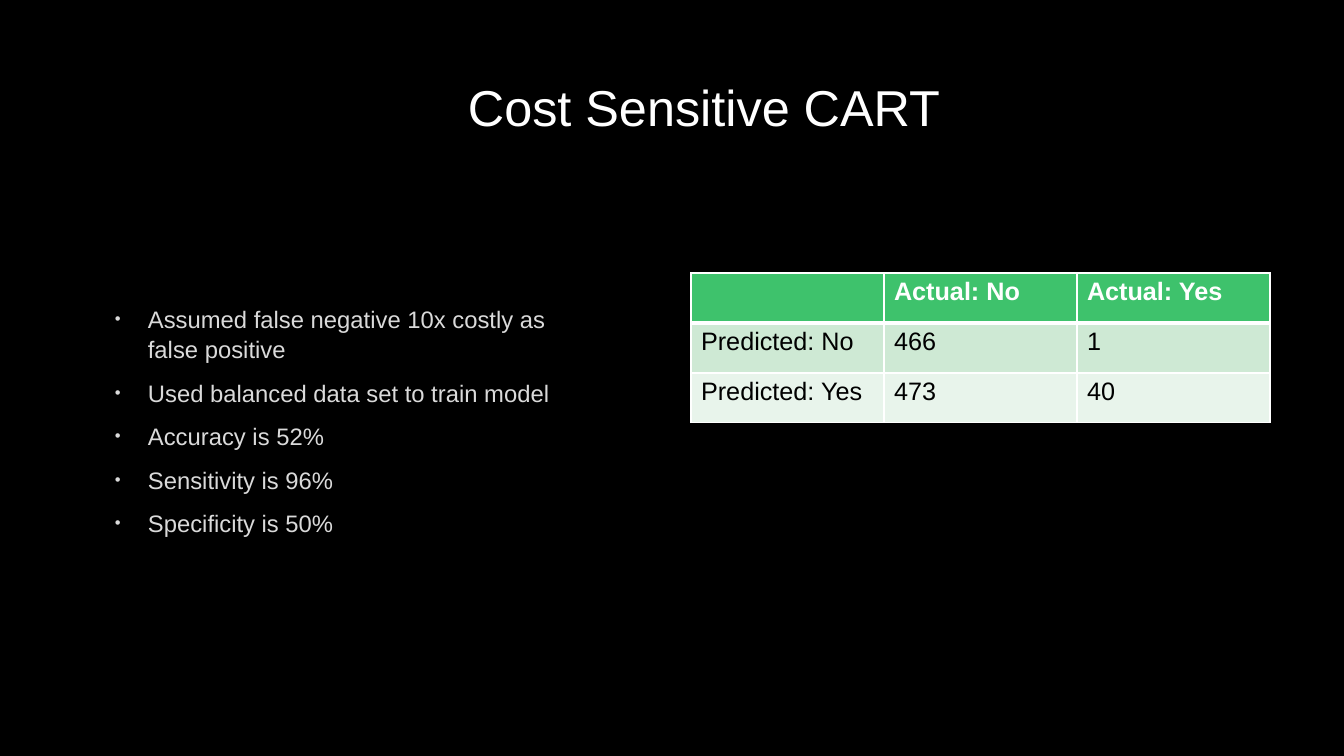
from lxml.etree import SubElement
from pptx import Presentation
from pptx.dml.color import RGBColor
from pptx.enum.text import MSO_ANCHOR, PP_ALIGN
from pptx.oxml.ns import qn
from pptx.util import Emu, Pt

COLORS = {
    "background": "000000", "title": "FFFFFF", "body": "DADADA",
    "header": "3EC26C", "band_dark": "CEE9D4", "band_light": "E8F4EB",
    "header_text": "FFFFFF", "cell_text": "000000", "border": "FFFFFF",
}


def px(length):
    return Emu(round(length * 914400 / 100.8))


def style(paragraph, size, color, bold=False):
    paragraph.font.name = "Arial"
    paragraph.font.size = Pt(size)
    paragraph.font.bold = bold
    paragraph.font.color.rgb = RGBColor.from_string(COLORS[color])


presentation = Presentation()
presentation.slide_width, presentation.slide_height = px(1344), px(756)
slide = presentation.slides.add_slide(presentation.slide_layouts[6])
slide.background.fill.solid()
slide.background.fill.fore_color.rgb = RGBColor.from_string(COLORS["background"])

# Findings
findings = [
    "Assumed false negative 10x costly as false positive",
    "Used balanced data set to train model",
    "Accuracy is 52%",
    "Sensitivity is 96%",
    "Specificity is 50%",
]
findings_frame = slide.shapes.add_textbox(px(100), px(301), px(464), px(226)).text_frame
findings_frame.word_wrap = True
findings_frame.vertical_anchor = MSO_ANCHOR.TOP
findings_frame.margin_top = px(2)
findings_frame.text = "\n".join(findings)
for finding in findings_frame.paragraphs:
    style(finding, 17, "body")
    finding.line_spacing = 1.06
    finding.space_before = Pt(3.4)
    finding.space_after = Pt(6)
    properties = finding._p.get_or_add_pPr()
    properties.set("marL", str(px(38)))
    properties.set("indent", str(-px(33)))
    bullet_color = SubElement(properties, qn("a:buClr"))
    SubElement(bullet_color, qn("a:srgbClr"), val=COLORS["body"])
    SubElement(properties, qn("a:buSzPct"), val="70000")
    SubElement(properties, qn("a:buFont"), typeface="Arial")
    SubElement(properties, qn("a:buChar"), char="•")
    # Bullet settings come before the default run properties
    properties.append(properties.find(qn("a:defRPr")))

# Title
title_frame = slide.shapes.add_textbox(px(458), px(71), px(512), px(71)).text_frame
title_frame.word_wrap = True
title = title_frame.paragraphs[0]
title.text = "Cost Sensitive CART"
title.alignment = PP_ALIGN.LEFT
style(title, 36, "title")

# Confusion matrix
confusion = [
    ["", "Actual: No", "Actual: Yes"],
    ["Predicted: No", "466", "1"],
    ["Predicted: Yes", "473", "40"],
]
row_fills = ["header", "band_dark", "band_light"]
matrix = slide.shapes.add_table(3, 3, px(691), px(273), px(579), px(150)).table
for column in matrix.columns:
    column.width = px(193)
for r, (values, row_fill) in enumerate(zip(confusion, row_fills)):
    matrix.rows[r].height = px(50)
    for c, value in enumerate(values):
        cell = matrix.cell(r, c)
        cell.text = value
        style(cell.text_frame.paragraphs[0], 18,
              "cell_text" if r else "header_text", bold=r == 0)
        for side in "LRTB":
            under_header = (r, side) in [(0, "B"), (1, "T")]
            border = SubElement(cell._tc.get_or_add_tcPr(), qn(f"a:ln{side}"),
                                w=str(Pt(3 if under_header else 1)))
            border_fill = SubElement(border, qn("a:solidFill"))
            SubElement(border_fill, qn("a:srgbClr"), val=COLORS["border"])
        cell.fill.solid()
        cell.fill.fore_color.rgb = RGBColor.from_string(COLORS[row_fill])

presentation.save("out.pptx")
